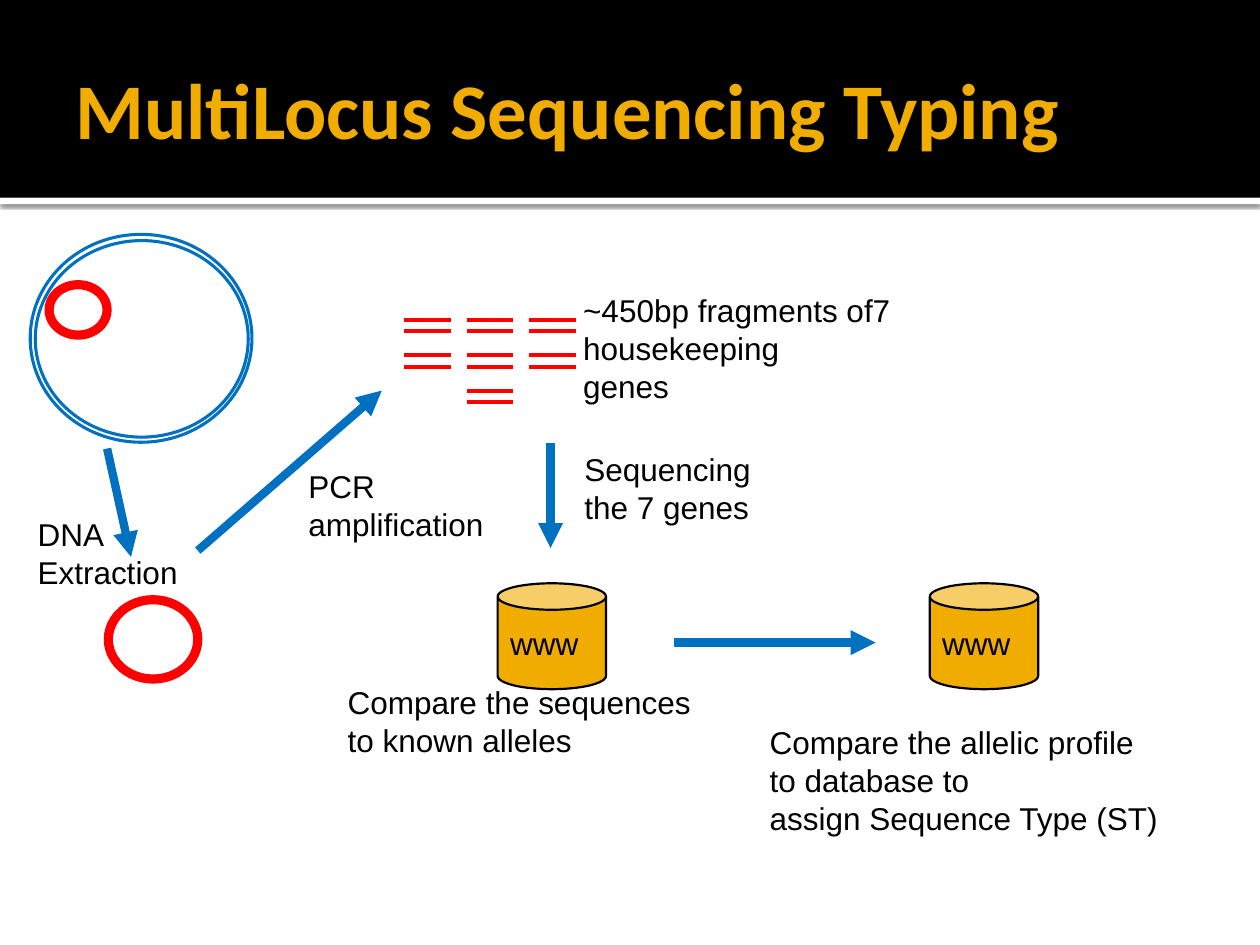
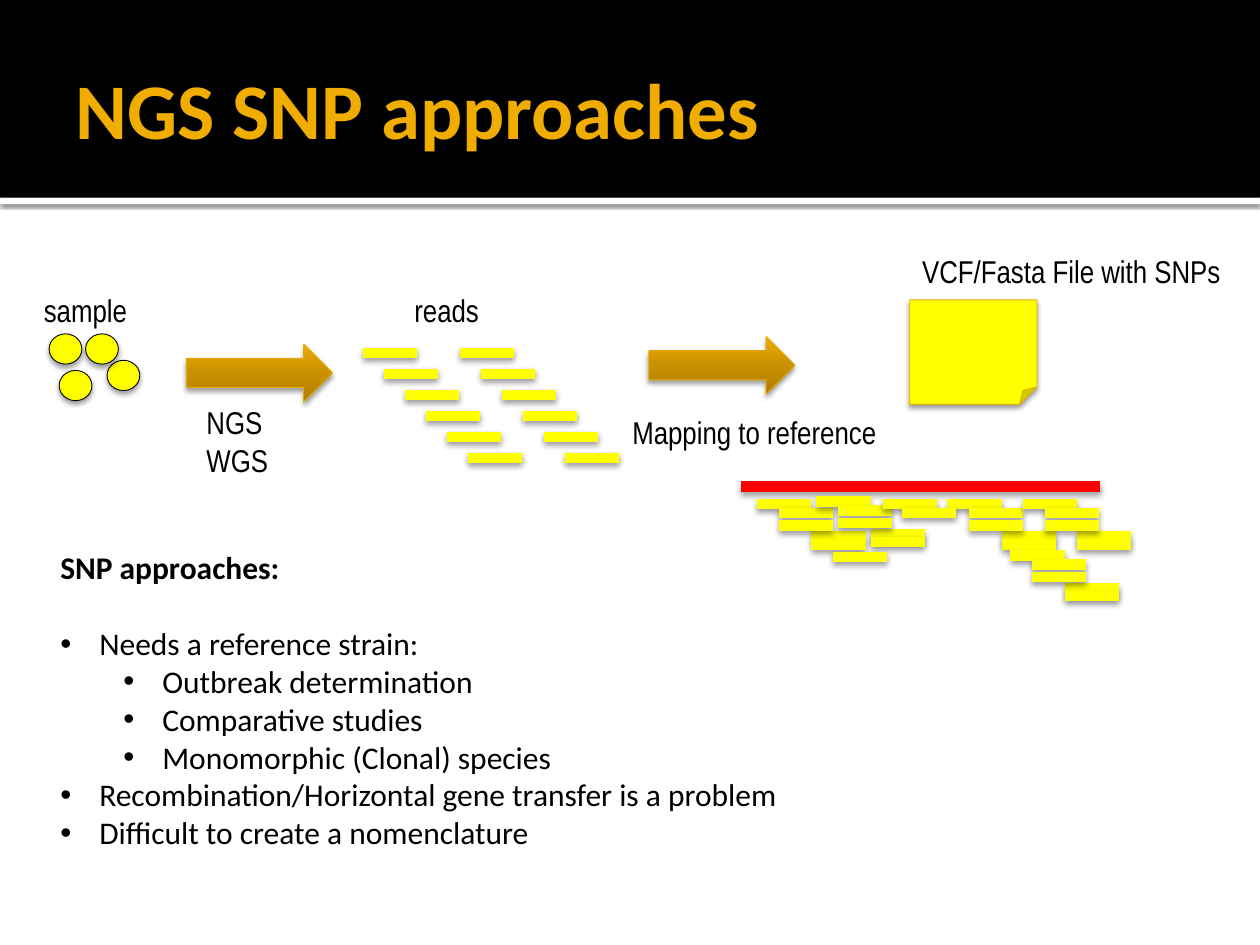
from copy import deepcopy

from lxml import etree
from pptx import Presentation
from pptx import util as u
from pptx.dml.color import RGBColor
from pptx.enum import shapes, text
from pptx.oxml.ns import qn

BLACK, WHITE, GOLD = "000000", "FFFFFF", "F0AD00"
RED, BLUE, YELLOW, EDGE = "FF0000", "0070C0", "FFFF00", "EBA900"
GRADIENT = [(0, "AE7D00"), (0.55, "CC9300"), (1, "EEAB00")]
# Shadows: opacity in percent, blur and distance in points
BAND_SHADOW, SHAPE_SHADOW, LINE_SHADOW = (60, 2.5, 0.8), (38, 3.1, 2), (38, 3.5, 2)
KIND = shapes.MSO_SHAPE
HEADER_HEIGHT = 1.57

# Slide 1: boxes are left, top, width, height in inches
TYPING_TITLE = "MultiLocus Sequencing Typing"
TYPING_LABELS = [
    ((2.35, 3.66, 1.6, 0.71), "PCR\namplification"),
    ((4.53, 2.26, 2.73, 1.01), "~450bp fragments of7\nhousekeeping\ngenes"),
    ((4.54, 3.52, 1.6, 0.71), "Sequencing\nthe 7 genes"),
    ((2.66, 5.37, 2.95, 0.71), "Compare the sequences\nto known alleles"),
    ((6.01, 5.69, 3.31, 1.01),
     "Compare the allelic profile\nto database to\nassign Sequence Type (ST)"),
    ((0.2, 4.04, 1.32, 0.71), "DNA\nExtraction"),
]
RINGS = [
    ((0.24, 1.86, 1.76, 1.65), BLUE, 1.75),
    ((0.28, 1.91, 1.69, 1.56), BLUE, 1.75),
    ((0.39, 2.26, 0.46, 0.4), RED, 5.25),
    ((0.86, 4.76, 0.71, 0.63), RED, 5.25),
]
STEP_ARROWS = [
    ((4.37, 3.52), (4.37, 4.35)),
    ((5.35, 5.1), (6.95, 5.1)),
    ((1.57, 4.37), (3.03, 3.1)),
    ((0.85, 3.56), (1.04, 4.42)),
]
DATABASE_LEFTS = [3.95, 7.38]
FRAGMENT_ROWS = [(0, 1, 2), (0, 1, 2), (1,)]  # columns filled in each row

# Slide 2
SNP_TITLE = "NGS SNP approaches"
SNP_LABELS = [
    ((0.25, 2.26, 0.87, 0.4), "sample"),
    ((1.54, 3.15, 0.7, 0.71), "NGS\nWGS"),
    ((3.19, 2.26, 0.72, 0.4), "reads"),
    ((4.92, 3.23, 2.16, 0.4), "Mapping to reference"),
    ((7.22, 1.95, 2.59, 0.4), "VCF/Fasta File with SNPs"),
]
SAMPLE_CELLS = [(0.39, 2.65), (0.47, 2.94), (0.85, 2.86), (0.68, 2.65)]
BLOCK_ARROWS = [(1.48, 2.73), (5.15, 2.67)]
READ_LENGTH, READ_STEP, READ_ROWS = 0.43, 1 / 6, 6
READ_STARTS = [(3.65, 2.8), (2.88, 2.8)]
CLUSTER = [(0, 0), (0.17, 0.07), (0.43, 0.26), (0.17, 0.17), (0.43, 0.32)]
CLUSTER_STARTS = [(6.01, 4), (6.48, 3.98), (7.52, 4), (8.12, 4), (8.02, 4.41)]
SINGLE_READS = [(6.61, 4.42), (7.01, 4), (7.16, 4.07)]
POINTS_HEADING = "SNP approaches:"
POINTS = [
    (0, "Needs a reference strain:"),
    (1, "Outbreak determination"),
    (1, "Comparative studies"),
    (1, "Monomorphic (Clonal) species"),
    (0, "Recombination/Horizontal gene transfer is a problem"),
    (0, "Difficult to create a nomenclature"),
]


def rgb(color):
    return RGBColor.from_string(color)


def inches(values):
    return [u.Inches(value) for value in values]


def style_font(font, name, color=BLACK, size=18, bold=False):
    font.name, font.size, font.bold = name, u.Pt(size), bold
    font.color.rgb = rgb(color)


def add_shadow(effects, shadow):
    """Put a downward shadow into an effect list."""
    opacity, blur, distance = shadow
    outer = etree.SubElement(
        effects, qn("a:outerShdw"), blurRad=str(u.Pt(blur)), dist=str(u.Pt(distance)),
        dir="5400000", rotWithShape="0")
    color = etree.SubElement(outer, qn("a:srgbClr"), val=BLACK)
    etree.SubElement(color, qn("a:alpha"), val=str(opacity * 1000))


def fill_gradient(shape):
    shape.fill.gradient()
    shape.fill.gradient_angle = 90
    last = list(shape.element.iter(qn("a:gs")))[-1]
    last.addnext(deepcopy(last))
    for stop, (position, color) in zip(shape.fill.gradient_stops, GRADIENT):
        stop.position = position
        stop.color.rgb = rgb(color)


def add_shape(slide, kind, box, fill=None, line=None, width=0.5, shadow=None):
    shape = slide.shapes.add_shape(kind, *inches(box))
    if fill == GRADIENT:
        fill_gradient(shape)
    elif fill:
        shape.fill.solid()
        shape.fill.fore_color.rgb = rgb(fill)
    else:
        shape.fill.background()
    if line:
        shape.line.color.rgb = rgb(line)
        shape.line.width = u.Pt(width)
    else:
        shape.line.fill.background()
    shape.shadow.inherit = False
    if shadow:
        add_shadow(shape.element.spPr.find(qn("a:effectLst")), shadow)
    return shape


def add_line(slide, start, end, color, width, shadow=None, arrow=False):
    line = slide.shapes.add_connector(
        shapes.MSO_CONNECTOR.STRAIGHT, *inches(start + end))
    line.line.color.rgb = rgb(color)
    line.line.width = u.Pt(width)
    if arrow:
        etree.SubElement(line.line._get_or_add_ln(), qn("a:tailEnd"), type="triangle")
    effects = etree.SubElement(line.element.spPr, qn("a:effectLst"))
    if shadow:
        add_shadow(effects, shadow)


def add_read(slide, left, top):
    add_line(slide, (left, top), (left + READ_LENGTH, top), YELLOW, 6, LINE_SHADOW)


def add_labels(slide, labels, font_name):
    for box, words in labels:
        frame = slide.shapes.add_textbox(*inches(box)).text_frame
        frame.word_wrap = False
        frame.auto_size = text.MSO_AUTO_SIZE.SHAPE_TO_FIT_TEXT
        frame.text = words
        for para in frame.paragraphs:
            style_font(para.font, font_name)


def add_bullet(para, level):
    para.level = level
    properties = para._p.get_or_add_pPr()
    properties.set("marL", str(u.Inches(0.31 + 0.5 * level)))
    properties.set("indent", str(u.Inches(-0.31)))
    etree.SubElement(properties, qn("a:buFont"), typeface="Arial")
    etree.SubElement(properties, qn("a:buChar"), char="•")


def add_header_bands(slide, layout):
    """Draw the bands once and hand them to the layout, behind its placeholders."""
    width = 10
    rule = add_shape(slide, KIND.RECTANGLE, (0, HEADER_HEIGHT, width, 0.05),
                     WHITE, shadow=BAND_SHADOW)
    band = add_shape(slide, KIND.RECTANGLE, (0, 0, width, HEADER_HEIGHT), BLACK)
    tree = layout.placeholders[0].element.getparent()
    for position, part in enumerate((rule, band), start=2):
        tree.insert(position, part.element)


def add_titled_slide(deck, words):
    slide = deck.slides.add_slide(deck.slide_layouts[5])
    title = slide.shapes.title
    title.left, title.top, title.width, title.height = inches((0.5, 0.17, 9, 1.37))
    frame = title.text_frame
    frame.text = words
    frame.auto_size = text.MSO_AUTO_SIZE.NONE
    frame.vertical_anchor = text.MSO_ANCHOR.MIDDLE
    frame.margin_left = u.Inches(0.1)
    frame.margin_right = frame.margin_top = frame.margin_bottom = u.Inches(0.05)
    para = frame.paragraphs[0]
    para.alignment = text.PP_ALIGN.LEFT
    style_font(para.runs[0].font, "Calibri", GOLD, 45, True)
    return slide


def add_database(slide, left):
    can = add_shape(slide, KIND.CAN, (left, 4.63, 0.86, 0.84), GOLD, BLACK, 1.25)
    frame = can.text_frame
    frame.text = "www"
    frame.word_wrap = False
    frame.vertical_anchor = text.MSO_ANCHOR.MIDDLE
    para = frame.paragraphs[0]
    para.alignment = text.PP_ALIGN.LEFT
    style_font(para.runs[0].font, "Arial")


def build_typing_slide(slide):
    for row, columns in enumerate(FRAGMENT_ROWS):
        for column in columns:
            left = 3.21 + 0.495 * column
            for strand in range(2):
                top = 2.54 + 0.28 * row + 0.09 * strand
                add_line(slide, (left, top), (left + 0.37, top), RED, 2.25)
    for left in DATABASE_LEFTS:
        add_database(slide, left)
    for box, color, width in RINGS:
        add_shape(slide, KIND.OVAL, box, line=color, width=width)
    for start, end in STEP_ARROWS:
        add_line(slide, start, end, BLUE, 4.75, arrow=True)
    add_labels(slide, TYPING_LABELS, "Arial")


def add_points(slide):
    box = slide.shapes.add_textbox(*inches((0.38, 4.3, 6.85, 2.83)))
    frame = box.text_frame
    frame.word_wrap = True
    frame.text = POINTS_HEADING
    style_font(frame.paragraphs[0].runs[0].font, "Calibri", bold=True)
    for number, (level, words) in enumerate(POINTS):
        para = frame.add_paragraph()
        para.text = words
        if number == 0:
            para.space_before = u.Pt(22)
        add_bullet(para, level)
        style_font(para.runs[0].font, "Calibri")


def build_snp_slide(slide):
    for left, top in SAMPLE_CELLS:
        add_shape(slide, KIND.OVAL, (left, top, 0.26, 0.24), YELLOW, BLACK,
                  shadow=SHAPE_SHADOW)
    for left, top in BLOCK_ARROWS:
        add_shape(slide, KIND.RIGHT_ARROW, (left, top, 1.16, 0.46), GRADIENT, EDGE,
                  shadow=SHAPE_SHADOW)
    for left, top in READ_STARTS:
        for row in range(READ_ROWS):
            add_read(slide, left + READ_STEP * row, top + READ_STEP * row)
    add_shape(slide, KIND.FOLDED_CORNER, (7.22, 2.38, 1.01, 0.83), YELLOW, EDGE,
              shadow=SHAPE_SHADOW)
    add_line(slide, (5.88, 3.86), (8.73, 3.86), RED, 6, LINE_SHADOW)
    for left, top in CLUSTER_STARTS:
        for across, down in CLUSTER:
            add_read(slide, left + across, top + down)
    for left, top in SINGLE_READS:
        add_read(slide, left, top)
    add_labels(slide, SNP_LABELS, "Arial Narrow")
    add_points(slide)


def main():
    deck = Presentation()
    deck.slide_width, deck.slide_height = inches((10, 7.5))
    typing_slide = add_titled_slide(deck, TYPING_TITLE)
    add_header_bands(typing_slide, deck.slide_layouts[5])
    build_typing_slide(typing_slide)
    build_snp_slide(add_titled_slide(deck, SNP_TITLE))
    deck.save("out.pptx")


if __name__ == "__main__":
    main()
